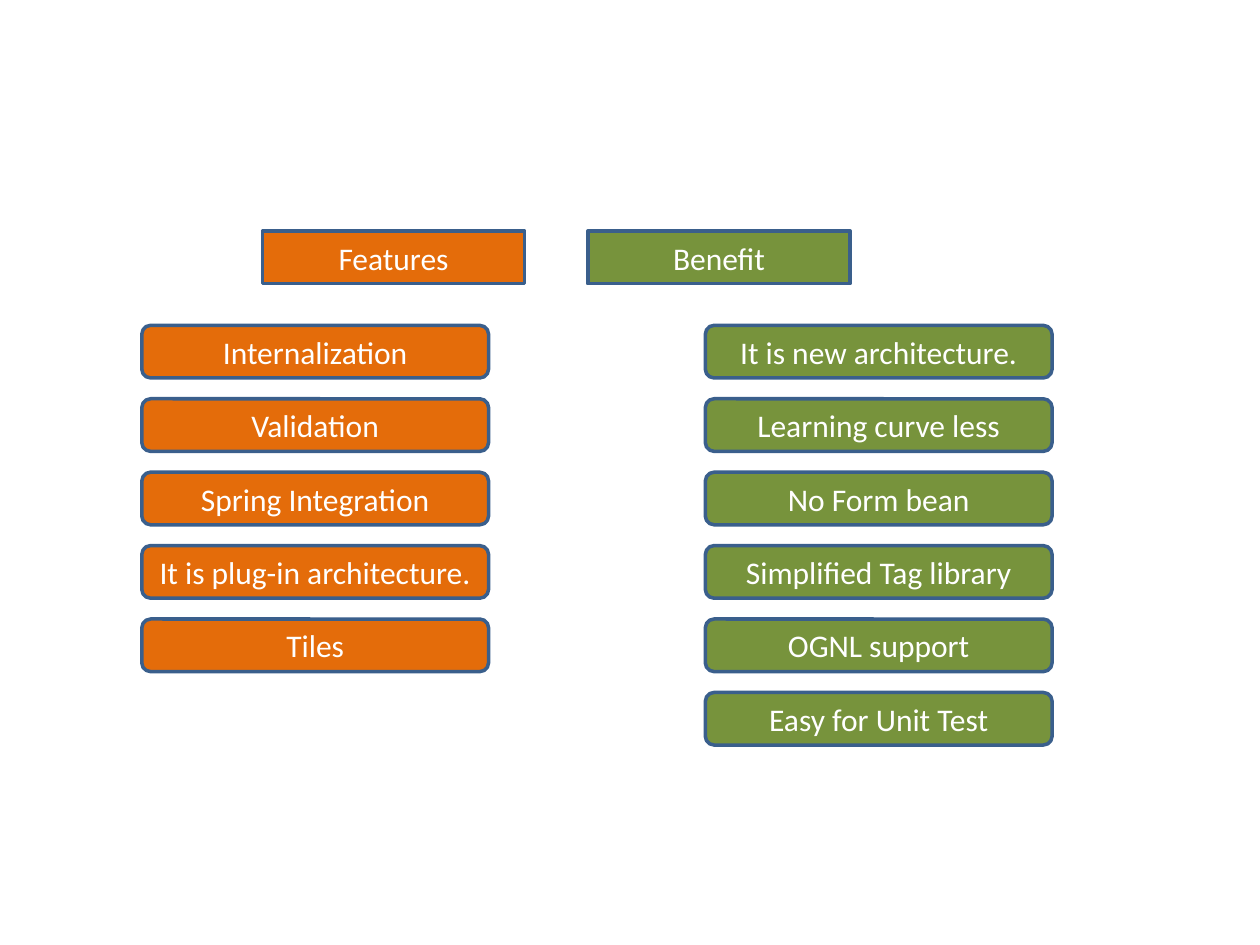
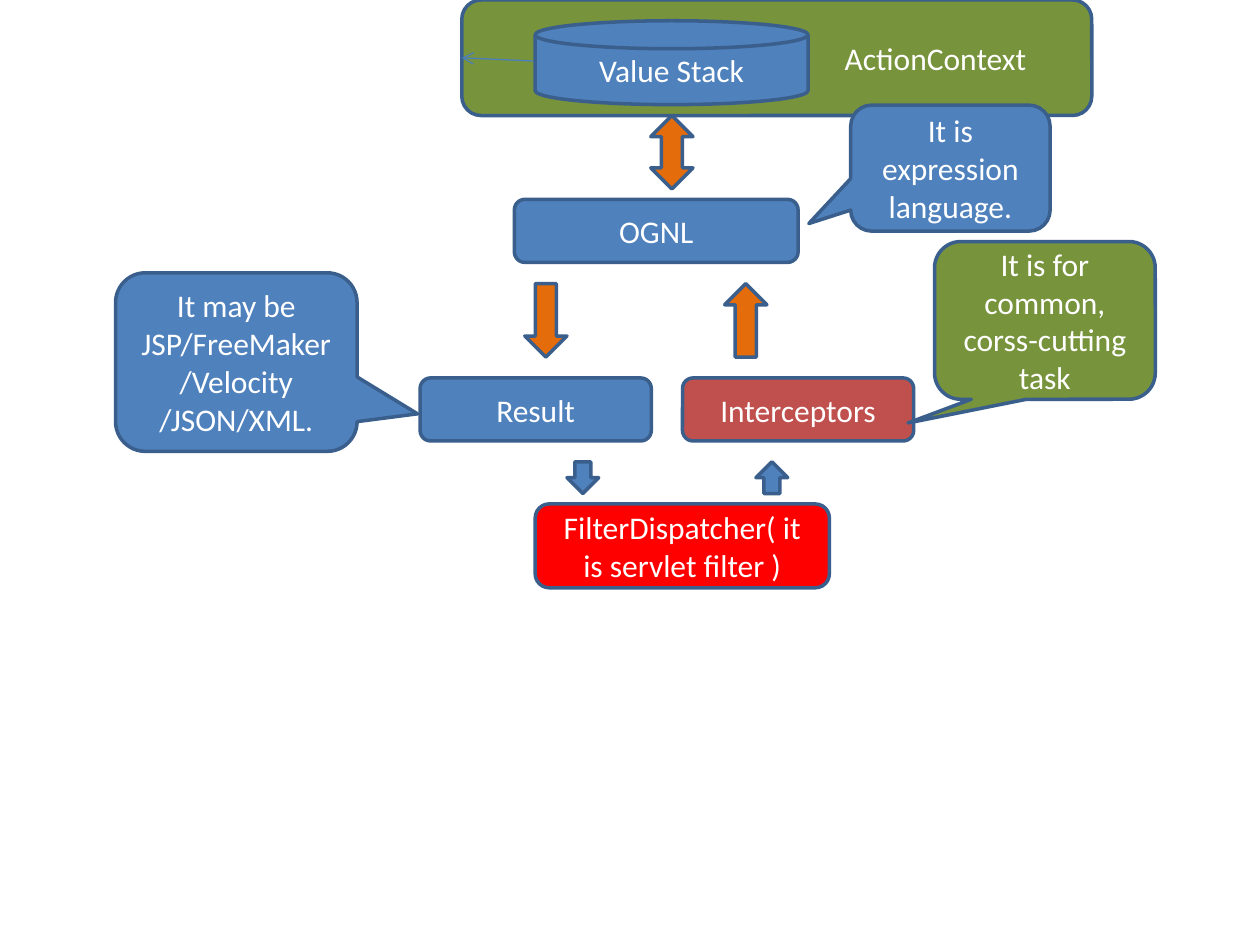
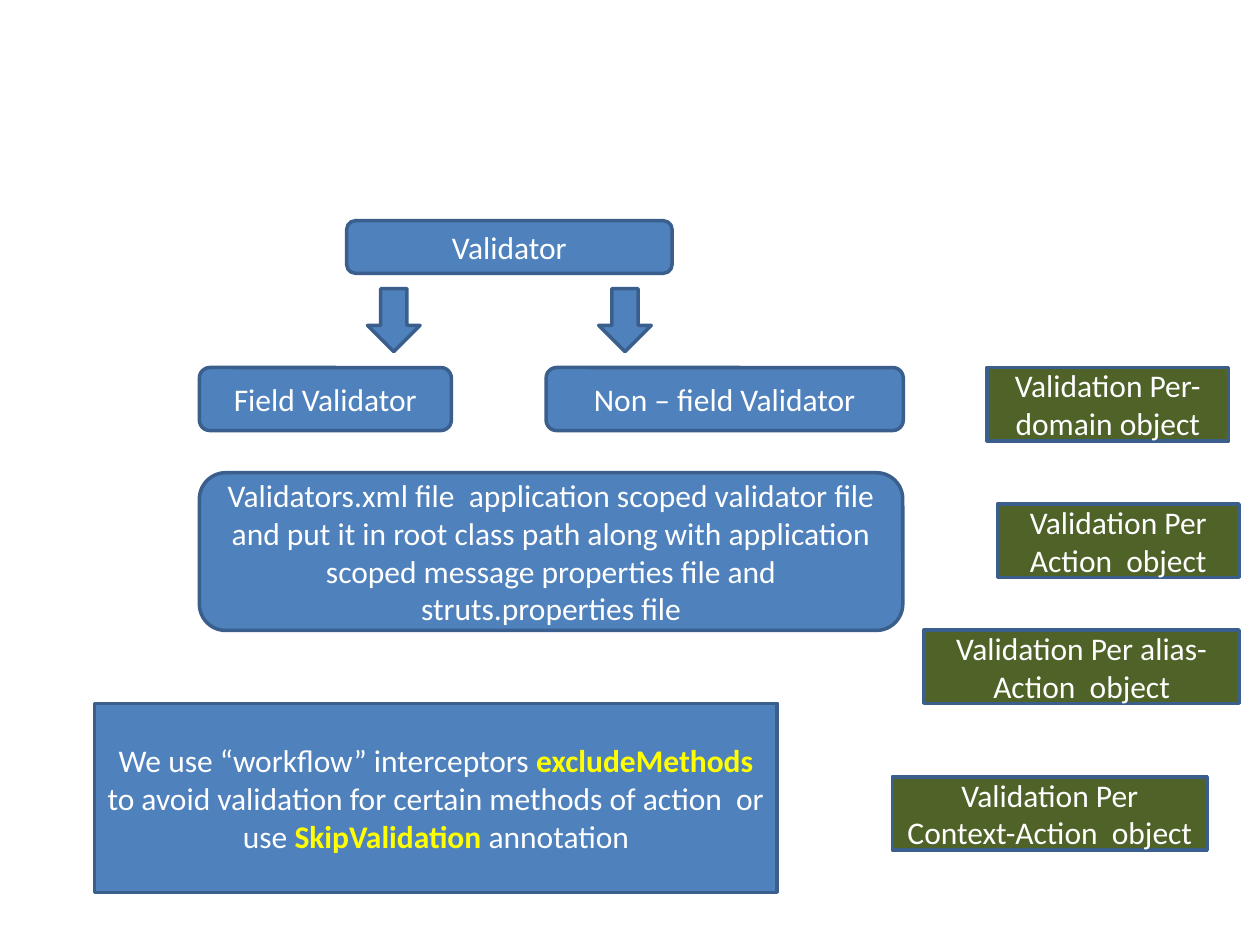
import pptx
import pptx.util
import pptx.dml.color
import pptx.enum.shapes
import pptx.enum.text
import pptx.oxml
import pptx.oxml.ns
from lxml import etree

Cm = pptx.util.Cm
Pt = pptx.util.Pt
Kind = pptx.enum.shapes.MSO_SHAPE
ROUND, RECT = Kind.ROUNDED_RECTANGLE, Kind.RECTANGLE
DOWN, UP = Kind.DOWN_ARROW, Kind.UP_ARROW
CALL = Kind.ROUNDED_RECTANGULAR_CALLOUT

HUES = {
    "blue": "4F81BD", "orange": "E46C0A", "green": "77933C",
    "dark": "4F6228", "brick": "C0504D", "red": "FF0000",
    "edge": "3A5F8C", "wire": "4B7EBC",
    "white": "FFFFFF", "yellow": "FFFF00",
}


def hue(name):
    return pptx.dml.color.RGBColor.from_string(HUES[name])


def draw(page, kind, place, fill, *runs, tip=None):
    """Add an outlined shape; runs starting with * are bold and yellow."""
    shape = page.shapes.add_shape(kind, *[Cm(n) for n in place])
    shape.shadow.inherit = False
    shape.fill.solid()
    shape.fill.fore_color.rgb = hue(fill)
    shape.line.color.rgb = hue("edge")
    shape.line.width = Pt(2)
    if tip:
        shape.adjustments[0], shape.adjustments[1] = tip
    if runs:
        frame = shape.text_frame
        frame.word_wrap = True
        frame.vertical_anchor = pptx.enum.text.MSO_ANCHOR.MIDDLE
        para = frame.paragraphs[0]
        para.alignment = pptx.enum.text.PP_ALIGN.CENTER
        for text in runs:
            strong = text.startswith("*")
            run = para.add_run()
            run.text = text.lstrip("*")
            run.font.name = "Calibri"
            run.font.size = Pt(18)
            run.font.bold = strong
            run.font.color.rgb = hue("yellow" if strong else "white")
    return shape


deck = pptx.Presentation()
deck.slide_width, deck.slide_height = Cm(25.4), Cm(19.05)
blank = deck.slide_layouts[6]

# Slide 1: features and benefits
page = deck.slides.add_slide(blank)
lists = [
    ("Features", 5.29, 2.86, "orange",
     ["Internalization", "Validation", "Spring Integration",
      "It is plug-in architecture.", "Tiles"]),
    ("Benefit", 11.85, 14.22, "green",
     ["It is new architecture.", "Learning curve less", "No Form bean",
      "Simplified Tag library", "OGNL support", "Easy for Unit Test"]),
]
for head, left, x, fill, items in lists:
    draw(page, RECT, (left, 4.66, 5.29, 1.06), fill, head)
    for row, item in enumerate(items):
        draw(page, ROUND, (x, 6.56 + row * 1.48, 6.99, 1.06), fill, item)

# Slide 2: request flow
page = deck.slides.add_slide(blank)
context = draw(page, ROUND, (9.31, 0, 12.7, 2.33), "green", "ActionContext")
context.text_frame.margin_left = Cm(6.65)
steps = [
    ((10.79, 10.16, 5.93, 1.69), "red",
     "FilterDispatcher( it is servlet filter )"),
    ((10.37, 4.02, 5.72, 1.27), "blue", "OGNL"),
    ((13.76, 7.62, 4.66, 1.27), "brick", "Interceptors"),
    ((8.47, 7.62, 4.66, 1.27), "blue", "Result"),
]
for place, fill, text in steps:
    draw(page, ROUND, place, fill, text)

# Thin arrow from the value stack to the context's edge
wire = page.shapes.add_connector(
    pptx.enum.shapes.MSO_CONNECTOR.STRAIGHT,
    Cm(16.3), Cm(1.48), Cm(9.31), Cm(1.17))
wire.end_connect(context, 1)
wire.line.color.rgb = hue("wire")
wire.line.width = Pt(0.75)
ln = wire.line._get_or_add_ln()
etree.SubElement(ln, pptx.oxml.ns.qn("a:tailEnd"), type="arrow")
etree.SubElement(wire._element.spPr, pptx.oxml.ns.qn("a:effectLst"))

# Block arrows
arrows = [
    (DOWN, (10.58, 5.72, 0.85, 1.48), "orange"),
    (UP, (14.61, 5.72, 0.85, 1.48), "orange"),
    (Kind.UP_DOWN_ARROW, (13.12, 2.33, 0.85, 1.48), "orange"),
    (DOWN, (11.43, 9.31, 0.64, 0.64), "blue"),
    (UP, (15.24, 9.31, 0.64, 0.64), "blue"),
]
for kind, place, fill in arrows:
    draw(page, kind, place, fill)

# Callouts and value stack
notes = [
    ((18.84, 4.87, 4.45, 3.18), "green", (-0.62, 0.65),
     "It is for common, corss-cutting task"),
    ((17.15, 2.12, 4.02, 2.54), "blue", (-0.71, 0.44),
     "It is expression language."),
    ((2.33, 5.5, 4.87, 3.6), "blue", (0.75, 0.29),
     "It may be JSP/FreeMaker/Velocity /JSON/XML."),
]
for place, fill, tip, text in notes:
    draw(page, CALL, place, fill, text, tip=tip)
draw(page, Kind.FLOWCHART_MAGNETIC_DISK, (10.79, 0.42, 5.5, 1.69), "blue",
     "Value Stack")

# Slide 3: validators
page = deck.slides.add_slide(blank)
tree = [
    ((6.99, 4.45, 6.56, 1.06), "Validator"),
    ((4.02, 7.41, 5.08, 1.27), "Field Validator"),
    ((11.01, 7.41, 7.2, 1.27), "Non – field Validator"),
    ((4.02, 9.53, 14.18, 3.18),
     "Validators.xml file  application scoped validator file and put it in "
     "root class path along with application scoped message properties file "
     "and struts.properties file"),
]
for place, text in tree:
    draw(page, ROUND, place, "blue", text)
for x in (7.41, 12.07):
    draw(page, DOWN, (x, 5.82, 1.06, 1.27), "blue")

# Validation scopes
scopes = [
    (19.9, 7.41, 4.87, "Validation Per- domain object"),
    (20.11, 10.16, 4.87, "Validation Per Action  object"),
    (18.63, 12.7, 6.35, "Validation Per alias-Action  object"),
    (17.99, 15.66, 6.35, "Validation Per Context-Action  object"),
]
for x, y, width, text in scopes:
    draw(page, RECT, (x, y, width, 1.48), "dark", text)

# Note on skipping validation
draw(page, RECT, (1.91, 14.18, 13.76, 3.81), "blue",
     "We use “workflow” interceptors ", "*excludeMethods",
     " to avoid validation for certain methods of action  or use ",
     "*SkipValidation", " annotation")

deck.save("out.pptx")
